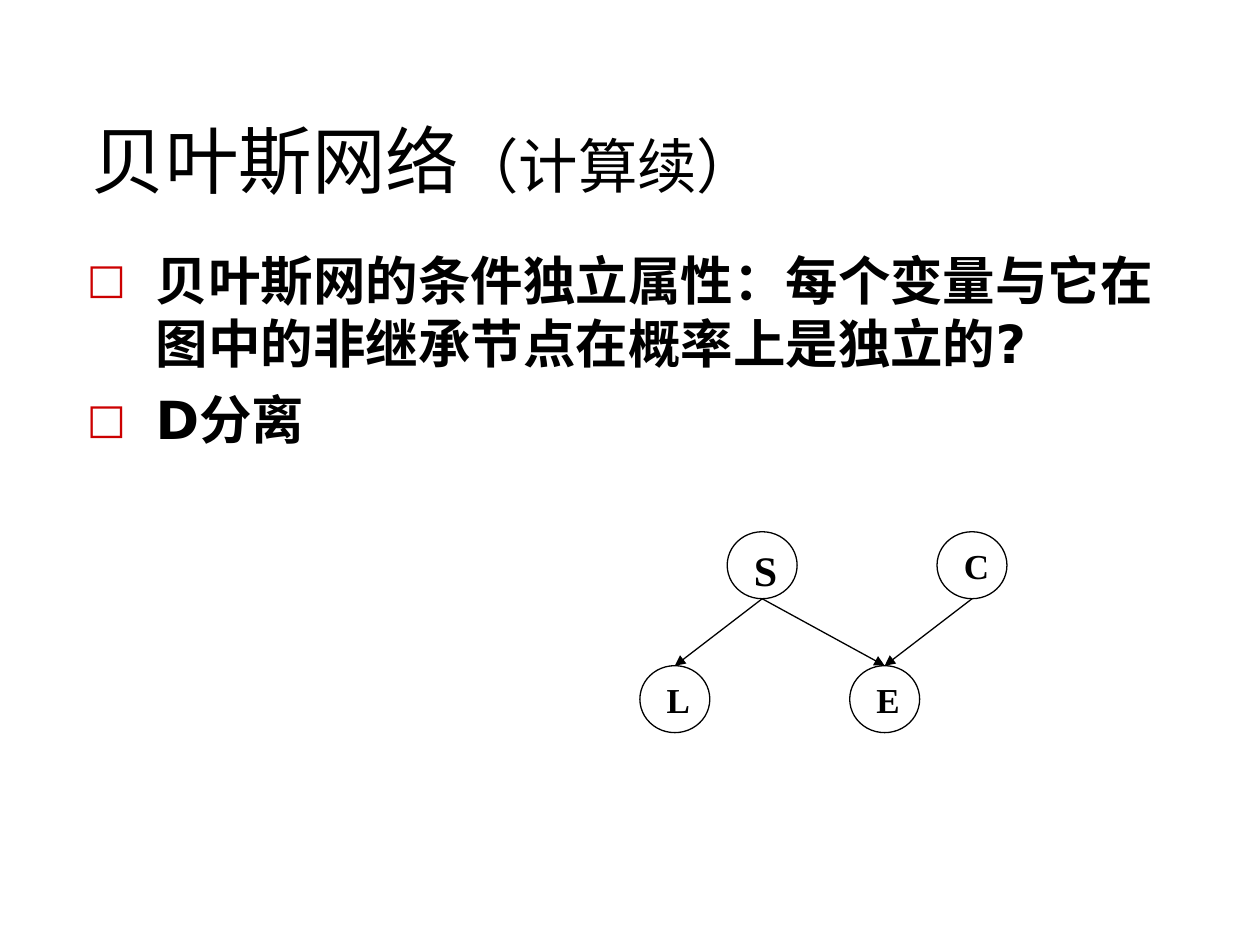
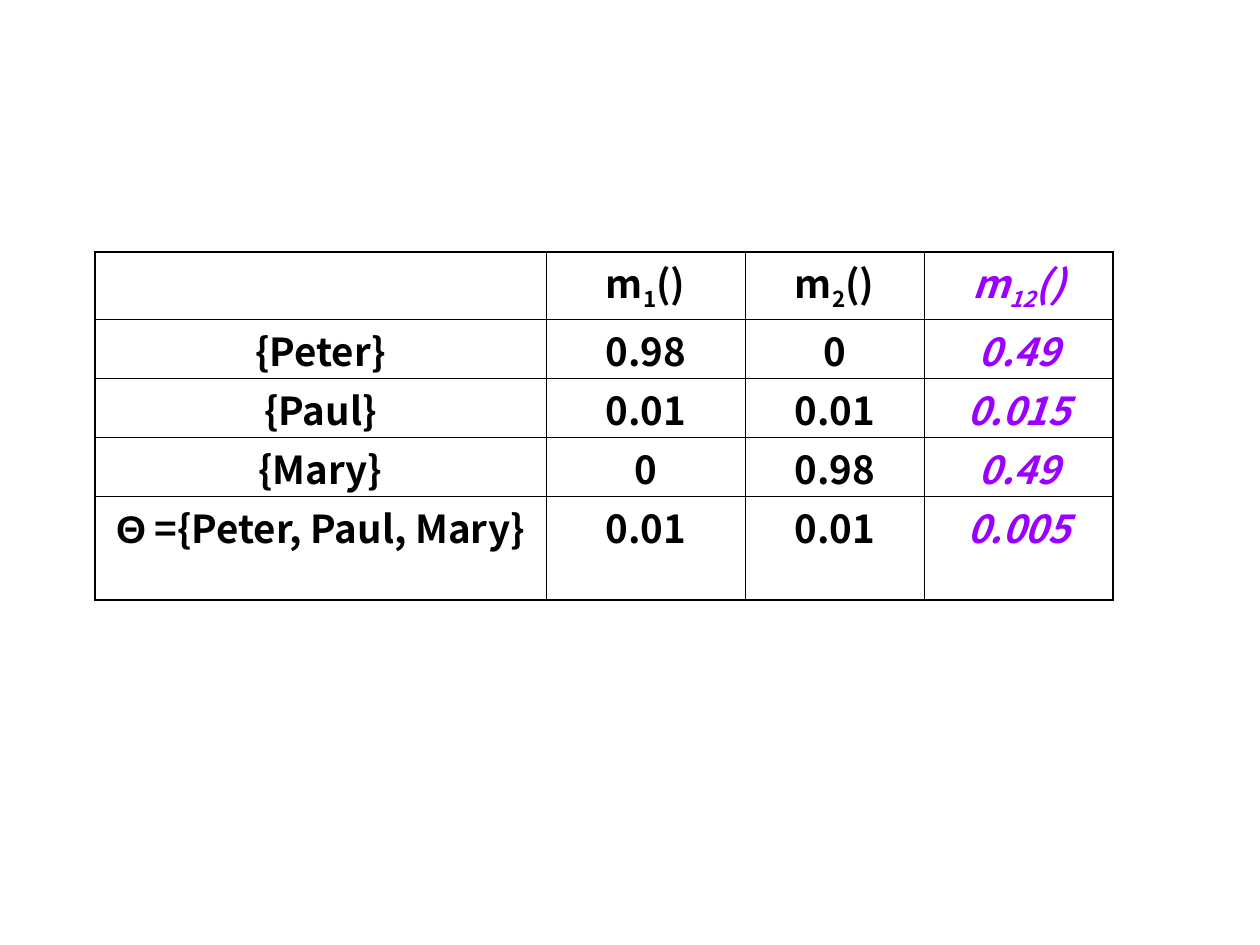
from dataclasses import dataclass

from lxml import etree
from pptx import Presentation, util as u
from pptx.dml.color import RGBColor
from pptx.enum import shapes, text
from pptx.oxml import ns

Cm, Pt = u.Cm, u.Pt


@dataclass(frozen=True)
class Theme:
    """Colours, fonts and type sizes of the deck."""
    ink: str = "000000"
    paper: str = "FFFFFF"
    mark: str = "CC0000"
    accent: str = "9900FF"
    sans: str = "DejaVu Sans"
    serif: str = "Times New Roman"
    grid: str = "Noto Sans CJK SC"
    greek: str = "Arial"
    title: int = 42
    sub: int = 34
    body: int = 30
    large: int = 24
    small: int = 20
    cell: int = 22
    lead: int = 26
    thin: float = 0.45
    thick: float = 1.08
    line: float = 0.75


T = Theme()
NODE_W, NODE_H = 1.41, 1.35
NODES = {
    "S": (14.66, 10.72, T.large),
    "C": (18.89, 10.72, T.small),
    "L": (12.9, 13.42, T.small),
    "E": (17.13, 13.42, T.small),
}
EDGES = ["SL", "SE", "CE"]
HANG = 1.39
COLS = [9.1, 4.01, 3.61, 3.81]
ROWS = [1.35, 1.19, 1.19, 1.19, 2.1]
MASS = [
    ["", "m_1_()", "m_2_()", "m_12_()"],
    ["{Peter}", "0.98", "0", "0.49"],
    ["{Paul}", "0.01", "0.01", "0.015"],
    ["{Mary}", "0", "0.98", "0.49"],
    ["Θ ={Peter, Paul, Mary}", "0.01", "0.01", "0.005"],
]


def sub(node, tag, **attrs):
    """Append a drawing element to a node."""
    return etree.SubElement(node, ns.qn("a:" + tag), attrs)


def write(para, words, size, font=T.sans, color=T.ink, bold=False, slant=False, base=0):
    """Add a formatted run to a paragraph."""
    run = para.add_run()
    run.text = words
    face = run.font
    face.size, face.bold, face.italic = Pt(size), bold, slant
    face.color.rgb = RGBColor.from_string(color)
    face.name = font
    props = run._r.get_or_add_rPr()
    sub(props, "ea", typeface=font)
    if base:
        props.set("baseline", str(base * 1000))


def frame(slide, left, top, wide, high, anchor=text.MSO_ANCHOR.TOP):
    """Add a wrapping text box and return its text frame."""
    box = slide.shapes.add_textbox(Cm(left), Cm(top), Cm(wide), Cm(high)).text_frame
    box.word_wrap = True
    box.vertical_anchor = anchor
    return box


def title(slide, head, tail):
    """Add a title with a smaller tail."""
    para = frame(slide, 1.6, 0.84, 22.22, 3.38, text.MSO_ANCHOR.BOTTOM).paragraphs[0]
    write(para, head, T.title)
    write(para, tail, T.sub)


def bullets(slide, items):
    """Add a list with square red bullets."""
    box = frame(slide, 1.5, 4.88, 22.31, 11.86)
    for i, item in enumerate(items):
        para = box.add_paragraph() if i else box.paragraphs[0]
        props = para._p.get_or_add_pPr()
        props.set("marL", str(Cm(HANG)))
        props.set("indent", str(-Cm(HANG)))
        if i:
            para.space_before = Pt(7.5)
        sub(sub(props, "buClr"), "srgbClr", val=T.mark)
        sub(props, "buSzPct", val="79000")
        sub(props, "buFont", typeface=T.sans)
        sub(props, "buChar", char="□")
        write(para, item, T.body, bold=True)


def node(slide, name, left, top, size):
    """Add a labelled graph node."""
    oval = slide.shapes.add_shape(shapes.MSO_SHAPE.OVAL, Cm(left), Cm(top), Cm(NODE_W), Cm(NODE_H))
    oval.shadow.inherit = False
    oval.fill.solid()
    oval.fill.fore_color.rgb = RGBColor.from_string(T.paper)
    oval.line.color.rgb = RGBColor.from_string(T.ink)
    oval.line.width = Pt(T.line)
    label = frame(slide, left + 0.29, top + 0.13, 1.07, 1.02)
    write(label.paragraphs[0], name, size, font=T.serif, bold=True)


def arrow(slide, start, end):
    """Draw an arrow from the foot of one node to the head of another."""
    x, y, _ = NODES[start]
    to_x, to_y, _ = NODES[end]
    half = NODE_W / 2
    line = slide.shapes.add_connector(
        shapes.MSO_CONNECTOR.STRAIGHT, Cm(x + half), Cm(y + NODE_H), Cm(to_x + half), Cm(to_y))
    line.line.color.rgb = RGBColor.from_string(T.ink)
    line.line.width = Pt(T.line)
    sub(line.line._get_or_add_ln(), "tailEnd", type="triangle")
    sub(line._element.spPr, "effectLst")


def border(cell, outer):
    """Rule a cell, thicker on its outer sides."""
    props = cell._tc.get_or_add_tcPr()
    for side in "LRTB":
        width = T.thick if side in outer else T.thin
        rule = sub(props, "ln" + side, w=str(Pt(width)))
        sub(sub(rule, "solidFill"), "srgbClr", val=T.ink)


def fill(cell, words, style):
    """Write a cell, lowering the part between underscores."""
    para = cell.text_frame.paragraphs[0]
    para.alignment = text.PP_ALIGN.CENTER
    para.line_spacing = Pt(T.lead)
    if words.startswith("Θ"):
        write(para, "Θ", font=T.greek, **style)
        words = words[1:]
    for i, part in enumerate(words.split("_")):
        if part:
            write(para, part, font=T.grid, base=-25 * (i % 2), **style)


def table(slide, left, top):
    """Add the ruled table of mass values."""
    grid = slide.shapes.add_table(
        len(ROWS), len(COLS), Cm(left), Cm(top), Cm(sum(COLS)), Cm(sum(ROWS))).table
    grid.first_row = grid.horz_banding = False
    for col, wide in zip(grid.columns, COLS):
        col.width = Cm(wide)
    end_row, end_col = len(ROWS) - 1, len(COLS) - 1
    for r, values in enumerate(MASS):
        grid.rows[r].height = Cm(ROWS[r])
        for c, words in enumerate(values):
            cell = grid.cell(r, c)
            cell.margin_top = Pt(7.7 if r else 9.5)
            cell.margin_bottom = 0
            edges = {"L": c == 0, "R": c == end_col, "T": r == 0, "B": r == end_row}
            border(cell, [side for side, out in edges.items() if out])
            cell.fill.background()
            last = c == end_col
            fill(cell, words, dict(size=T.cell, bold=True, slant=last,
                                   color=T.accent if last else T.ink))


def main():
    """Build and save the deck."""
    deck = Presentation()
    deck.slide_width, deck.slide_height = Cm(25.4), Cm(19.05)
    blank = deck.slide_layouts[6]

    net = deck.slides.add_slide(blank)
    title(net, "贝叶斯网络", "（计算续）")
    bullets(net, ["贝叶斯网的条件独立属性：每个变量与它在图中的非继承节点在概率上是独立的?", "D分离"])
    for name, place in NODES.items():
        node(net, name, *place)
    for start, end in EDGES:
        arrow(net, start, end)

    table(deck.slides.add_slide(blank), 1.91, 5.08)
    deck.save("out.pptx")


if __name__ == "__main__":
    main()
